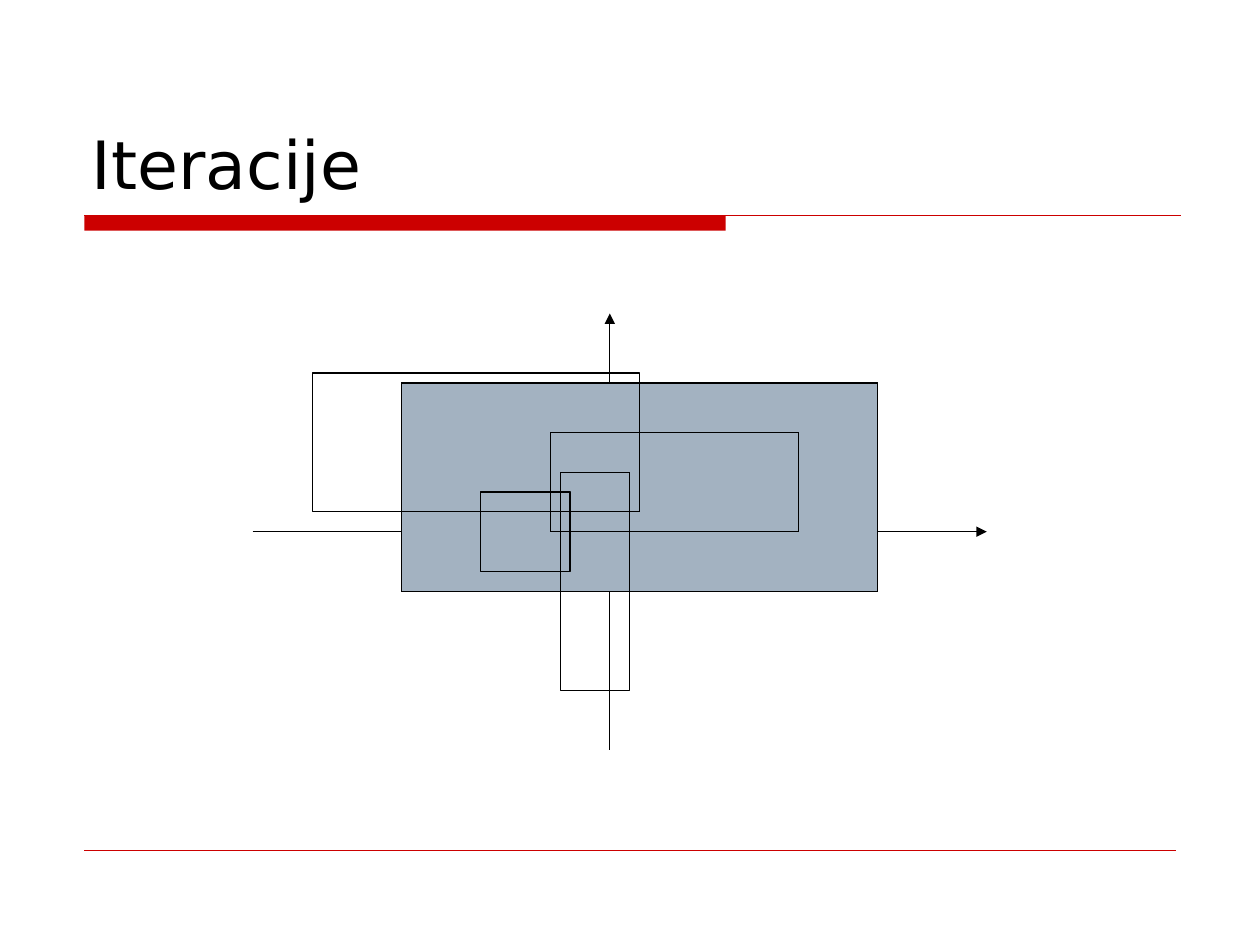
from dataclasses import dataclass

from lxml import etree
from pptx import Presentation
from pptx.dml.color import RGBColor
from pptx.enum.shapes import MSO_CONNECTOR, MSO_SHAPE
from pptx.enum.text import MSO_ANCHOR, MSO_AUTO_SIZE, PP_ALIGN
from pptx.oxml.ns import qn
from pptx.util import Inches, Pt

RECT = MSO_SHAPE.RECTANGLE
LINE = MSO_CONNECTOR.STRAIGHT
BOTTOM = MSO_ANCHOR.BOTTOM
LEFT = PP_ALIGN.LEFT
FIXED = MSO_AUTO_SIZE.NONE


@dataclass(frozen=True)
class Theme:
    ink: RGBColor = RGBColor(0, 0, 0)
    red: RGBColor = RGBColor(0xCC, 0, 0)
    area: RGBColor = RGBColor(0xA3, 0xB2, 0xC1)
    font: str = "DejaVu Sans"
    size: float = 38
    thin: float = 0.25
    edge: float = 0.75


THEME = Theme()
ORIGIN = (4.84, 4.22)
STEP = 2 / 25.4
BOXES = [
    (-21, -15, 27, 6),
    (-6, -10, 19, 0),
    (-30, -16, 3, -2),
    (-5, -6, 2, 16),
    (-13, -4, -4, 4),
]


def place(col, row):
    return ORIGIN[0] + col * STEP, ORIGIN[1] + row * STEP


def add_rect(slide, start, end, fill=None, edge=None):
    (left, top), (right, base) = start, end
    rect = slide.shapes.add_shape(
        RECT, Inches(left), Inches(top), Inches(right - left), Inches(base - top)
    )
    rect.shadow.inherit = False
    if fill is None:
        rect.fill.background()
    else:
        rect.fill.solid()
        rect.fill.fore_color.rgb = fill
    if edge is None:
        rect.line.fill.background()
    else:
        rect.line.color.rgb = edge
        rect.line.width = Pt(THEME.edge)


def add_line(slide, start, end, color, width, arrow=False):
    line = slide.shapes.add_connector(LINE, *map(Inches, start + end))
    line.line.color.rgb = color
    line.line.width = Pt(width)
    if arrow:
        etree.SubElement(line.line._get_or_add_ln(), qn("a:tailEnd"), type="triangle")
    etree.SubElement(line._element.spPr, qn("a:effectLst"))


def add_title(slide, text):
    title = slide.shapes.title
    title.left, title.top = Inches(0.63), Inches(0.33)
    title.width, title.height = Inches(8.75), Inches(1.33)
    frame = title.text_frame
    frame.auto_size = FIXED
    frame.vertical_anchor = BOTTOM
    par = frame.paragraphs[0]
    par.alignment = LEFT
    run = par.add_run()
    run.text = text
    run.font.name = THEME.font
    run.font.size = Pt(THEME.size)
    run.font.color.rgb = THEME.ink


def add_rules(slide):
    add_rect(slide, (0.67, 1.71), (5.76, 1.83), THEME.red)
    add_line(slide, (0.67, 1.71), (9.37, 1.71), THEME.red, THEME.edge)
    add_line(slide, (0.67, 6.75), (9.33, 6.75), THEME.red, THEME.thin)


def add_axes(slide):
    for start, end in [((0, 22), (0, -22)), ((-36, 0), (38, 0))]:
        add_line(slide, place(*start), place(*end), THEME.ink, THEME.edge, True)


def overlap(one, two):
    return (*map(max, one[:2], two[:2]), *map(min, one[2:], two[2:]))


def add_box(slide, box, fill=None):
    add_rect(slide, place(*box[:2]), place(*box[2:]), fill, THEME.ink)


def add_steps(slide):
    common = BOXES[0]
    for box in BOXES:
        common = overlap(common, box)
        if box != common:
            add_box(slide, box)
        add_box(slide, common, THEME.area)
        if box != BOXES[-1]:
            add_box(slide, common)


def main():
    deck = Presentation()
    deck.slide_width, deck.slide_height = Inches(10), Inches(7.5)
    slide = deck.slides.add_slide(deck.slide_layouts[5])
    add_rules(slide)
    add_title(slide, "Iteracije")
    add_axes(slide)
    add_steps(slide)
    deck.save("out.pptx")


if __name__ == "__main__":
    main()
